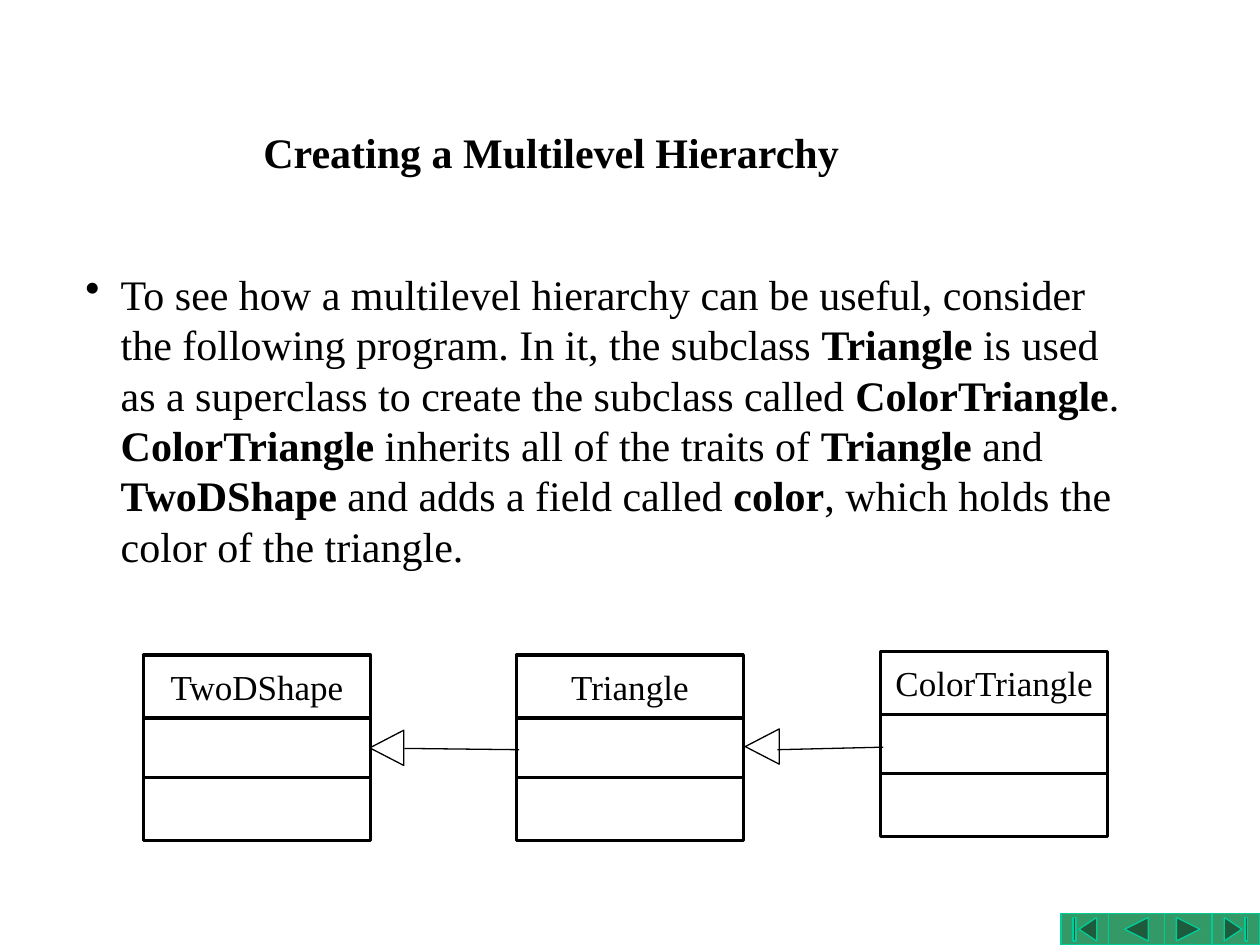
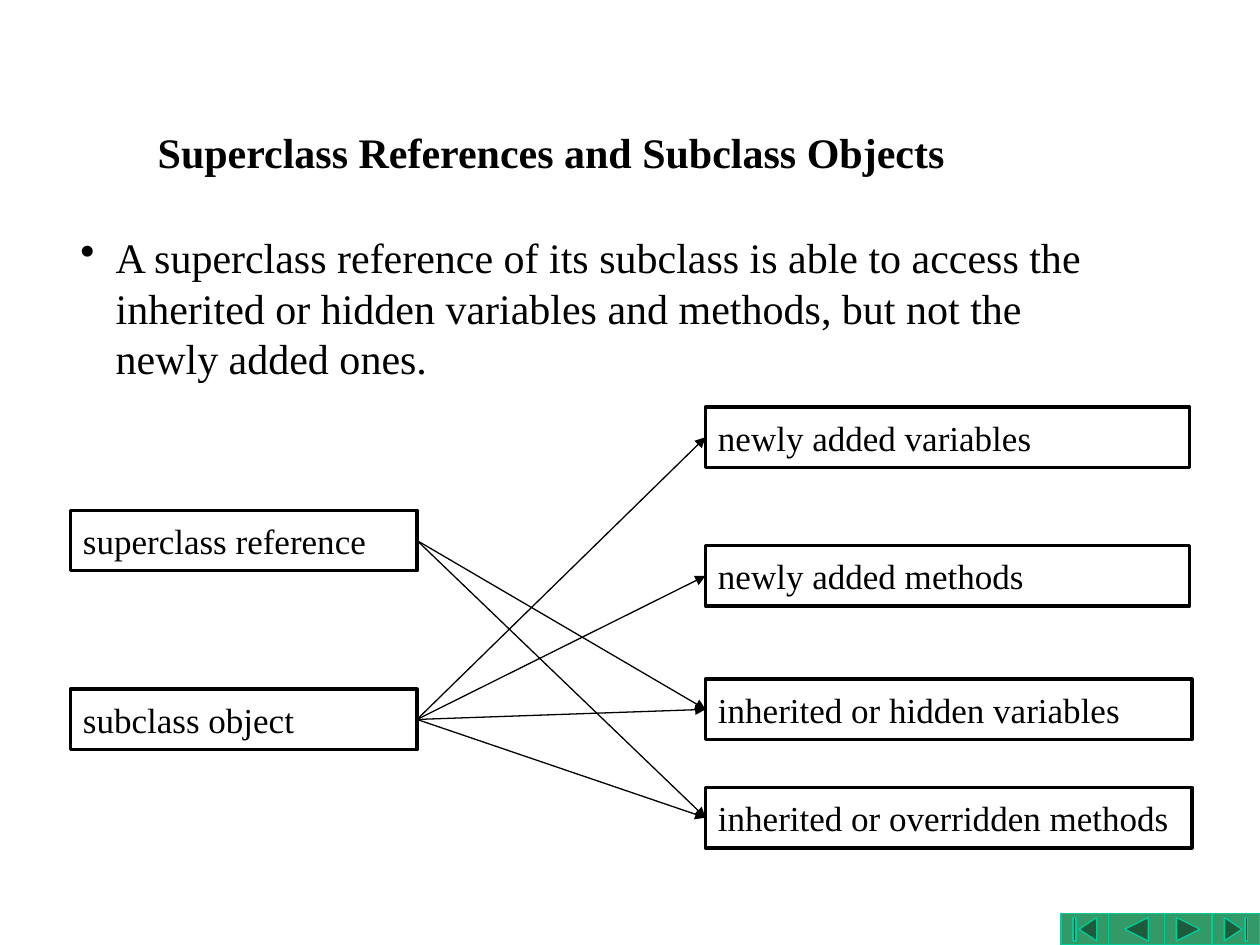
"""Build two slides on class hierarchies and superclass references."""
from dataclasses import dataclass
from itertools import product
from typing import NamedTuple, Optional

from lxml.etree import SubElement
from pptx import Presentation
from pptx.dml.color import RGBColor
from pptx.enum.shapes import MSO_CONNECTOR, MSO_SHAPE
from pptx.enum.text import MSO_ANCHOR, PP_ALIGN
from pptx.oxml.ns import qn
from pptx.shapes.autoshape import Shape
from pptx.shapes.connector import Connector
from pptx.slide import Slide
from pptx.text.text import _Paragraph
from pptx.util import Inches, Pt


@dataclass(frozen=True)
class Theme:
    font: str = "Times New Roman"
    ink: RGBColor = RGBColor(0, 0, 0)
    paper: RGBColor = RGBColor(255, 255, 255)
    button: RGBColor = RGBColor(0x33, 0x99, 0x66)
    edge: RGBColor = RGBColor(0x00, 0xCC, 0x99)
    head: float = 24
    label: float = 20
    thick: float = 2
    thin: float = 0.75


class Area(NamedTuple):
    left: float
    top: float
    width: float
    height: float


class Button(NamedTuple):
    kind: MSO_SHAPE
    width: float


class Entity(NamedTuple):
    name: str
    left: float
    top: float


class Box(NamedTuple):
    text: str
    area: Area


class Link(NamedTuple):
    start: tuple[float, float]
    end: tuple[float, float]


THEME = Theme()
BUTTONS = (
    Button(MSO_SHAPE.ACTION_BUTTON_BEGINNING, 0.38),
    Button(MSO_SHAPE.ACTION_BUTTON_BACK_OR_PREVIOUS, 0.44),
    Button(MSO_SHAPE.ACTION_BUTTON_FORWARD_OR_NEXT, 0.38),
    Button(MSO_SHAPE.ACTION_BUTTON_END, 0.38),
)
ENTITIES = (
    Entity("TwoDShape", 1.14, 5.2),
    Entity("Triangle", 4.1, 5.2),
    Entity("ColorTriangle", 6.99, 5.17),
)
ROWS = (0, 0.5, 0.97)
TIPS = ((2.93, 5.8), (5.91, 5.79))
LINKS = (
    Link((3.21, 5.94), (4.12, 5.95)),
    Link((6.17, 5.95), (7.01, 5.93)),
)
ADDED = (
    Box("newly added variables", Area(5.6, 3.23, 3.84, 0.48)),
    Box("newly added methods", Area(5.6, 4.33, 3.84, 0.48)),
)
PASSED = (
    Box("inherited or hidden variables", Area(5.6, 5.39, 3.86, 0.48)),
    Box("inherited or overridden methods", Area(5.6, 6.25, 3.86, 0.48)),
)
PARENT = Box("superclass reference", Area(0.56, 4.05, 2.75, 0.48))
CHILD = Box("subclass object", Area(0.56, 5.47, 2.75, 0.48))
LEVELS = (
    "To see how a multilevel hierarchy can be useful, consider the following "
    "program. In it, the subclass *Triangle *is used as a superclass to create "
    "the subclass called *ColorTriangle*. *ColorTriangle *inherits all of the "
    "traits of *Triangle *and *TwoDShape *and adds a field called *color*, "
    "which holds the color of the triangle."
)
ACCESS = (
    "A superclass reference of its subclass is able to access the inherited or "
    "hidden variables and methods, but not the newly added ones."
)


def style(para: _Paragraph, size: float, bold: Optional[bool] = None) -> None:
    font = para.font
    font.name, font.size, font.bold = THEME.font, Pt(size), bold
    font.color.rgb = THEME.ink


def add_shape(slide: Slide, kind: MSO_SHAPE, area: Area, fill: Optional[RGBColor],
              edge: RGBColor, weight: float) -> Shape:
    shape = slide.shapes.add_shape(kind, *map(Inches, area))
    shape.shadow.inherit = False
    if fill is None:
        shape.fill.background()
    else:
        shape.fill.solid()
        shape.fill.fore_color.rgb = fill
    shape.line.color.rgb = edge
    shape.line.width = Pt(weight)
    return shape


def add_box(slide: Slide, area: Area, text: str = "",
            align: PP_ALIGN = PP_ALIGN.LEFT) -> Shape:
    shape = add_shape(slide, MSO_SHAPE.RECTANGLE, area, THEME.paper,
                      THEME.ink, THEME.thick)
    if text:
        frame = shape.text_frame
        frame.word_wrap = False
        frame.vertical_anchor = MSO_ANCHOR.MIDDLE
        para = frame.paragraphs[0]
        para.text, para.alignment = text, align
        style(para, THEME.label)
    return shape


def add_line(slide: Slide, link: Link, arrow: bool = False) -> Connector:
    ends = map(Inches, link.start + link.end)
    line = slide.shapes.add_connector(MSO_CONNECTOR.STRAIGHT, *ends)
    line.line.color.rgb = THEME.ink
    line.line.width = Pt(THEME.thin)
    props = line.element.spPr
    if arrow:
        SubElement(props.find(qn("a:ln")), qn("a:tailEnd"), type="triangle")
    SubElement(props, qn("a:effectLst"))
    return line


def join(slide: Slide, start: Shape, end: Shape) -> None:
    line = add_line(slide, Link((0, 0), (1, 1)), arrow=True)
    line.begin_connect(start, 3)
    line.end_connect(end, 1)


def add_title(slide: Slide, text: str) -> None:
    area = Area(0.75, 0.83, 7.25, 0.75)
    frame = slide.shapes.add_textbox(*map(Inches, area)).text_frame
    frame.word_wrap = True
    frame.vertical_anchor = MSO_ANCHOR.MIDDLE
    para = frame.paragraphs[0]
    para.text, para.alignment = text, PP_ALIGN.CENTER
    style(para, THEME.head, True)


def add_body(slide: Slide, area: Area, text: str) -> None:
    frame = slide.shapes.add_textbox(*map(Inches, area)).text_frame
    frame.word_wrap = True
    para = frame.paragraphs[0]
    para.space_before = Pt(0.2 * THEME.head)
    props = para._p.get_or_add_pPr()
    props.set("marL", str(Inches(0.28)))
    props.set("indent", str(-Inches(0.28)))
    SubElement(props, qn("a:buChar"), char="•")
    style(para, THEME.head)
    for index, part in enumerate(text.split("*")):
        run = para.add_run()
        run.text = part
        if index % 2:
            run.font.bold = True


def add_slide(deck: Presentation, title: str) -> Slide:
    slide = deck.slides.add_slide(deck.slide_layouts[6])
    left = 10 - sum(button.width for button in BUTTONS)
    for button in BUTTONS:
        add_shape(slide, button.kind, Area(left, 7.25, button.width, 0.25),
                  THEME.button, THEME.edge, THEME.thin)
        left += button.width
    add_title(slide, title)
    return slide


def add_entity(slide: Slide, entity: Entity) -> None:
    for row, text in zip(ROWS, (entity.name, "", "")):
        area = Area(entity.left, entity.top + row, 1.8, 0.5)
        add_box(slide, area, text, PP_ALIGN.CENTER)


def draw_levels(deck: Presentation) -> None:
    slide = add_slide(deck, "Creating a Multilevel Hierarchy")
    add_body(slide, Area(0.58, 2.08, 8.5, 2.66), LEVELS)
    for entity in ENTITIES:
        add_entity(slide, entity)
    for left, top in TIPS:
        tip = add_shape(slide, MSO_SHAPE.ISOSCELES_TRIANGLE,
                        Area(left, top, 0.28, 0.27), None, THEME.ink, THEME.thin)
        tip.rotation = 270
    for link in LINKS:
        add_line(slide, link)


def draw_access(deck: Presentation) -> None:
    slide = add_slide(deck, "Superclass References and Subclass Objects")
    add_body(slide, Area(0.54, 1.79, 8.5, 1.49), ACCESS)
    added = [add_box(slide, box.area, box.text) for box in ADDED]
    passed = [add_box(slide, box.area, box.text) for box in PASSED]
    parent = add_box(slide, PARENT.area, PARENT.text)
    child = add_box(slide, CHILD.area, CHILD.text)
    pairs = [*product([parent], passed), *product([child], added + passed)]
    for start, end in pairs:
        join(slide, start, end)


def main() -> None:
    deck = Presentation()
    deck.slide_width, deck.slide_height = Inches(10), Inches(7.5)
    draw_levels(deck)
    draw_access(deck)
    deck.save("out.pptx")


main()
